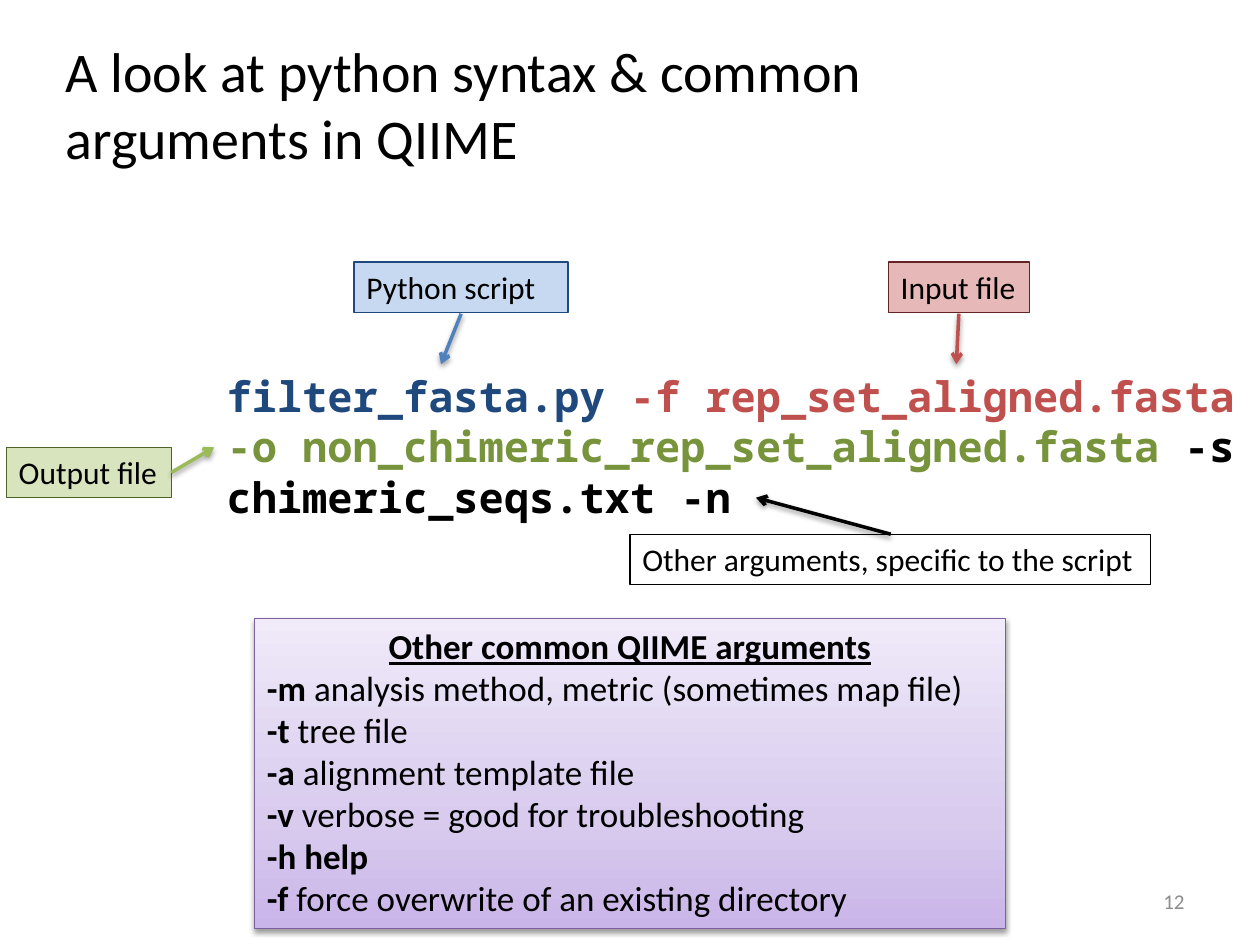
from copy import deepcopy

from lxml.etree import SubElement
from pptx import Presentation
from pptx.dml.color import RGBColor
from pptx.enum.shapes import MSO_CONNECTOR as Connector, MSO_SHAPE as Shape
from pptx.enum.text import MSO_ANCHOR as Anchor, MSO_AUTO_SIZE as AutoSize, PP_ALIGN as Align
from pptx.oxml.ns import qn
from pptx.util import Inches, Pt

COLORS = {
    "black": "000000", "gray": "8C8C8C",
    "navy": "1F497D", "blue": "4F81BD", "pale_blue": "C6D9F1",
    "maroon": "632523", "red": "C0504D", "pale_red": "E6B9B8",
    "moss": "4F6228", "olive": "77933C", "green": "9BBB59", "pale_green": "D7E4BD",
    "purple": "7D60A0", "lilac": "C9B5E8", "pale_lilac": "D8CBEE", "mist": "F0EAF9",
}
COLUMNS, ROWS = 100, 75


def color(name):
    return RGBColor.from_string(COLORS[name])


def write(para, text, font="Calibri", size=18, ink="black", bold=False, underline=False):
    span = para.add_run()
    span.text = text
    span.font.name = font
    span.font.size = Pt(size)
    span.font.color.rgb = color(ink)
    span.font.bold = bold
    span.font.underline = underline


def add_shadow(properties):
    effects = properties.find(qn("a:effectLst"))
    if effects is None:
        effects = SubElement(properties, qn("a:effectLst"))
    shadow = SubElement(effects, qn("a:outerShdw"), blurRad=str(Pt(3.1)), dist=str(Pt(1.6)),
                        dir="5400000", rotWithShape="0")
    tint = SubElement(shadow, qn("a:srgbClr"), val=COLORS["black"])
    SubElement(tint, qn("a:alpha"), val="38000")


class SlideBuilder:
    def __init__(self):
        self.deck = Presentation()
        self.deck.slide_width, self.deck.slide_height = Inches(10), Inches(7.5)
        self.page = self.deck.slides.add_slide(self.deck.slide_layouts[5])

    def place(self, column, row):
        return (round(self.deck.slide_width * column / COLUMNS),
                round(self.deck.slide_height * row / ROWS))

    def area(self, column, row, width, height):
        return *self.place(column, row), *self.place(width, height)

    def title(self, text, *grid):
        box = self.page.shapes.title
        box.left, box.top, box.width, box.height = self.area(*grid)
        box.text_frame.vertical_anchor = Anchor.TOP
        box.text_frame.auto_size = AutoSize.NONE
        para = box.text_frame.paragraphs[0]
        para.alignment = Align.LEFT
        write(para, text, size=32)

    def text(self, spans, *grid, align=Align.LEFT, anchor=Anchor.TOP):
        frame = self.page.shapes.add_textbox(*self.area(*grid)).text_frame
        frame.word_wrap = True
        frame.vertical_anchor = anchor
        para = frame.paragraphs[0]
        para.alignment = align
        for text, style in spans:
            write(para, text, **style)

    def panel(self, edge, *grid, wrap=True):
        box = self.page.shapes.add_shape(Shape.RECTANGLE, *self.area(*grid))
        box.shadow.inherit = False
        box.line.color.rgb = color(edge)
        box.line.width = Pt(0.75)
        frame = box.text_frame
        frame.word_wrap = wrap
        frame.auto_size = AutoSize.SHAPE_TO_FIT_TEXT
        frame.vertical_anchor = Anchor.TOP
        frame.paragraphs[0].alignment = Align.LEFT
        return box

    def label(self, text, edge, fill, *grid, wrap=False):
        box = self.panel(edge, *grid, wrap=wrap)
        if fill:
            box.fill.solid()
            box.fill.fore_color.rgb = color(fill)
        else:
            box.fill.background()
        write(box.text_frame.paragraphs[0], text)

    def argument_list(self, heading, arguments, stops, *grid):
        box = self.panel("purple", *grid)
        box.fill.gradient()
        box.fill.gradient_angle = 90
        stop_list = box.element.spPr.find(".//" + qn("a:gsLst"))
        stop_list.append(deepcopy(stop_list[0]))
        for stop, (position, name) in zip(box.fill.gradient_stops, stops):
            stop.position = position
            stop.color.rgb = color(name)
        add_shadow(box.element.spPr)
        frame = box.text_frame
        frame.paragraphs[0].alignment = Align.CENTER
        write(frame.paragraphs[0], heading, size=20, bold=True, underline=True)
        for flag, meaning in arguments:
            para = frame.add_paragraph()
            para.alignment = Align.LEFT
            write(para, flag, size=20, bold=True)
            if meaning:
                write(para, meaning, size=20)

    def arrow(self, ink, start, end):
        line = self.page.shapes.add_connector(Connector.STRAIGHT, *self.place(*start), *self.place(*end))
        line.line.color.rgb = color(ink)
        line.line.width = Pt(2)
        SubElement(line.line._get_or_add_ln(), qn("a:tailEnd"), type="arrow")
        add_shadow(line._element.spPr)

    def save(self):
        self.deck.save("out.pptx")


def main():
    slide = SlideBuilder()
    slide.title("A look at python syntax & common arguments in QIIME", 4.2, 2.4, 80.5, 11.8)

    code = {"font": "Noto Sans Mono", "size": 24, "bold": True}
    command = [("filter_fasta.py ", "navy"), ("-f rep_set_aligned.fasta ", "red"),
               ("-o non_chimeric_rep_set_aligned.fasta", "olive"),
               (" -s chimeric_seqs.txt -n", "black")]
    slide.text([(text, {**code, "ink": ink}) for text, ink in command], 17, 28.9, 83.5, 17.2)

    slide.label("Python script", "navy", "pale_blue", 28.1, 20.8, 17, 4, wrap=True)
    slide.label("Input file", "maroon", "pale_red", 70.5, 20.8, 11.2, 4)
    slide.label("Output file", "moss", "pale_green", 0.5, 35.5, 13.1, 4)
    slide.label("Other arguments, specific to the script", "black", None, 50, 42.4, 41.3, 4)

    slide.argument_list(
        "Other common QIIME arguments",
        [("-m ", "analysis method, metric (sometimes map file)"),
         ("-t ", "tree file"),
         ("-a ", "alignment template file"),
         ("-v ", "verbose = good for troubleshooting"),
         ("-h help", ""),
         ("-f ", "force overwrite of an existing directory")],
        [(0, "lilac"), (0.35, "pale_lilac"), (1, "mist")],
        20.2, 49.1, 59.6, 24.6)

    slide.arrow("red", (76.1, 24.9), (75.9, 28.9))
    slide.arrow("blue", (36.6, 24.9), (35, 28.9))
    slide.arrow("green", (13.6, 37.5), (17, 35.5))
    slide.arrow("black", (70.7, 42.4), (60, 39.5))

    slide.text([("12", {"size": 12, "ink": "gray"})], 71.7, 69.5, 23.3, 4,
               align=Align.RIGHT, anchor=Anchor.MIDDLE)
    slide.save()


if __name__ == "__main__":
    main()
